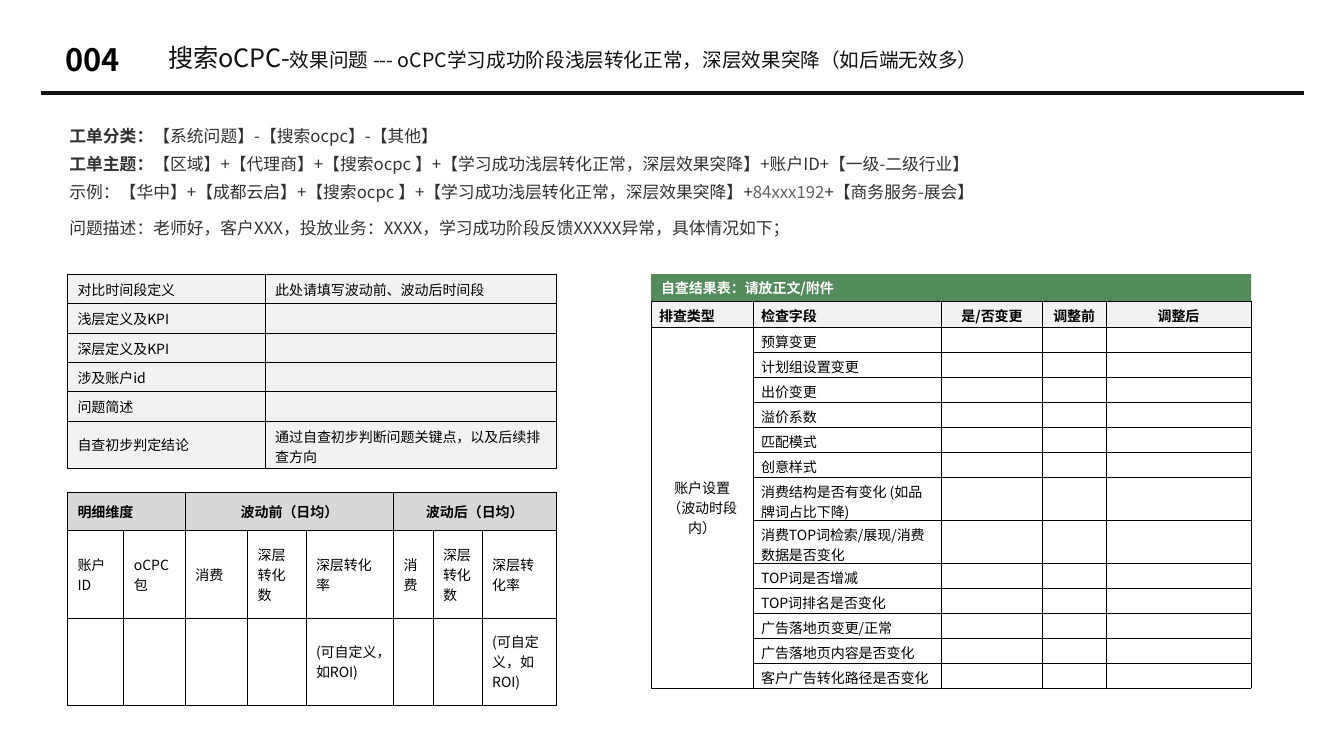
import pptx
import pptx.util
import pptx.dml.color
import pptx.enum.shapes
import pptx.enum.text
import pptx.oxml
import pptx.oxml.ns
from dataclasses import dataclass

Cm, Pt = pptx.util.Cm, pptx.util.Pt
ALIGN, ANCHOR = pptx.enum.text.PP_ALIGN, pptx.enum.text.MSO_ANCHOR
qn = pptx.oxml.ns.qn


@dataclass(frozen=True)
class Theme:
    font: str = "Noto Sans CJK SC"
    black: str = "000000"
    rule: str = "101010"
    body: str = "313131"
    muted: str = "606266"
    white: str = "FFFFFF"
    green: str = "548B5B"
    pale: str = "F2F2F2"
    grey: str = "D8D8D8"
    number_size: int = 22
    title_size: int = 18
    subtitle_size: int = 14
    body_size: int = 12
    table_size: int = 10


T = Theme()

# Content: runs are (text, size, colour, bold)
NUMBER = [[("004", T.number_size, T.black, True)]]
TITLE = [[
    ("搜索oCPC-", T.title_size, T.rule, False),
    ("效果问题 --- oCPC学习成功阶段浅层转化正常，深层效果突降（如后端无效多）", T.subtitle_size, T.rule, False),
]]
TICKET = [
    [("工单分类：", T.body_size, T.body, True),
     ("【系统问题】-【搜索ocpc】-【其他】", T.body_size, T.body, False)],
    [("工单主题：", T.body_size, T.body, True),
     ("【区域】+【代理商】+【搜索ocpc 】+【学习成功浅层转化正常，深层效果突降】+账户ID+【一级-二级行业】",
      T.body_size, T.body, False)],
    [("示例：【华中】+【成都云启】+【搜索ocpc 】+【学习成功浅层转化正常，深层效果突降】+",
      T.body_size, T.body, False),
     ("84xxx192", T.body_size, T.muted, False),
     ("+【商务服务-展会】", T.body_size, T.body, False)],
]
PROBLEM = [[("问题描述：老师好，客户XXX，投放业务：XXXX，学习成功阶段反馈XXXXX异常，具体情况如下；",
             T.body_size, T.body, False)]]
BANNER = [[("自查结果表：请放正文/附件", T.table_size, T.white, True)]]

SUMMARY = [
    ("对比时间段定义", "此处请填写波动前、波动后时间段"),
    ("浅层定义及KPI", ""),
    ("深层定义及KPI", ""),
    ("涉及账户id", ""),
    ("问题简述", ""),
    ("自查初步判定结论", "通过自查初步判断问题关键点，以及后续排查方向"),
]
METRICS = ("消费", "深层转化数", "深层转化率")
CUSTOM = ("", "", "(可自定义，如ROI)")
DETAIL = [
    ("明细维度", "", "波动前（日均）", "", "", "波动后（日均）", "", ""),
    ("账户ID", "oCPC包") + METRICS * 2,
    ("", "") + CUSTOM * 2,
]
CHECK_HEADER = ("排查类型", "检查字段", "是/否变更", "调整前", "调整后")
CHECK_TYPE = "账户设置\v（波动时段内）"
CHECK_FIELDS = [
    "预算变更", "计划组设置变更", "出价变更", "溢价系数", "匹配模式", "创意样式",
    "消费结构是否有变化 (如品牌词占比下降)", "消费TOP词检索/展现/消费数据是否变化",
    "TOP词是否增减", "TOP词排名是否变化", "广告落地页变更/正常",
    "广告落地页内容是否变化", "客户广告转化路径是否变化",
]
CHECKS = [CHECK_HEADER] + [
    (CHECK_TYPE if i == 0 else "", field, "", "", "") for i, field in enumerate(CHECK_FIELDS)
]

# Layout in centimetres
LEFT_X, RIGHT_X, TABLE_Y = 1.7, 16.41, 6.91
BANNER_H = 0.68
CHECK_ROWS = [0.66] + [1.08 if len(field) > 15 else 0.63 for field in CHECK_FIELDS]
CHECK_COLS = [2.57, 4.75, 2.54, 1.6, 3.66]


def rgb(value):
    return pptx.dml.color.RGBColor.from_string(value)


def style(r, size, color, bold):
    r.font.size, r.font.bold, r.font.name = Pt(size), bold, T.font
    r.font.color.rgb = rgb(color)
    ea = pptx.oxml.parse_xml(f'<a:ea {pptx.oxml.ns.nsdecls("a")} typeface="{T.font}"/>')
    r.font._element.find(qn("a:latin")).addnext(ea)


def write(tf, paragraphs, spacing=None):
    for i, runs in enumerate(paragraphs):
        p = tf.paragraphs[0] if i == 0 else tf.add_paragraph()
        p.alignment = ALIGN.LEFT
        if spacing:
            p.line_spacing = spacing
        for text, *look in runs:
            r = p.add_run()
            r.text = text
            style(r, *look)


def add_text(s, box, paragraphs, spacing=None, flush=False):
    tf = s.shapes.add_textbox(*map(Cm, box)).text_frame
    tf.word_wrap = True
    if flush:
        tf.vertical_anchor = ANCHOR.MIDDLE
        tf.margin_left = tf.margin_right = tf.margin_top = tf.margin_bottom = 0
    write(tf, paragraphs, spacing)


def fill_cell(cell, text, fill, bold, centred, margins):
    cell.vertical_anchor = ANCHOR.MIDDLE
    if margins:
        cell.margin_left = cell.margin_right = Cm(margins[0])
        cell.margin_top = cell.margin_bottom = Cm(margins[1])
    p = cell.text_frame.paragraphs[0]
    p.text = text
    p.alignment = ALIGN.CENTER if centred else ALIGN.LEFT
    for r in p.runs:
        style(r, T.table_size, T.black, bold)
    if not text:
        # Empty cells keep the table type size so their rows stay low
        end = p._p.makeelement(qn("a:endParaRPr"), {"sz": str(T.table_size * 100)})
        p._p.append(end)
    for side in "LRTB":
        cell._tc.get_or_add_tcPr().append(pptx.oxml.parse_xml(
            f'<a:ln{side} {pptx.oxml.ns.nsdecls("a")} w="6350"><a:solidFill>'
            f'<a:srgbClr val="{T.black}"/></a:solidFill></a:ln{side}>'))
    if fill:
        cell.fill.solid()
        cell.fill.fore_color.rgb = rgb(fill)
    else:
        cell.fill.background()


def add_grid(s, x, y, cols, rows, data, merges=(), header=None, body=None, centred=(), margins=None):
    frame = s.shapes.add_table(len(rows), len(cols), Cm(x), Cm(y), Cm(sum(cols)), Cm(sum(rows)))
    table = frame.table
    table.first_row = table.horz_banding = False
    for col, width in zip(table.columns, cols):
        col.width = Cm(width)
    for row, height in zip(table.rows, rows):
        row.height = Cm(height)
    for i, texts in enumerate(data):
        is_header = header is not None and i == 0
        for j, text in enumerate(texts):
            fill_cell(table.cell(i, j), text, header if is_header else body,
                      is_header, (i, j) in centred, margins)
    for first, last in merges:
        table.cell(*first).merge(table.cell(*last))


def main():
    prs = pptx.Presentation()
    prs.slide_width, prs.slide_height = Cm(33.87), Cm(19.05)
    s = prs.slides.add_slide(prs.slide_layouts[6])

    # Heading and rule
    rule = s.shapes.add_connector(pptx.enum.shapes.MSO_CONNECTOR.STRAIGHT,
                                  Cm(1.03), Cm(2.34), Cm(32.87), Cm(2.34))
    rule.line.color.rgb, rule.line.width = rgb(T.rule), Pt(3)
    rule._element.spPr.append(rule._element.makeelement(qn("a:effectLst"), {}))
    add_text(s, (1.65, 1.02, 1.7, 0.94), NUMBER, flush=True)
    add_text(s, (4.24, 1.14, 23.55, 0.69), TITLE, 0.9, flush=True)

    # Ticket wording
    add_text(s, (1.5, 2.84, 30.84, 2.31), TICKET, Pt(20))
    add_text(s, (1.5, 5.11, 23.29, 0.94), PROBLEM, 1.5)

    # Summary and detail tables
    add_grid(s, LEFT_X, TABLE_Y, [4.98, 7.34], [0.74] * 5 + [1.19], SUMMARY, body=T.pale)
    add_grid(s, LEFT_X, 12.4, [1.42, 1.55, 1.57, 1.47, 2.21, 0.99, 1.24, 1.86],
             [0.97, 2.2, 2.2], DETAIL, header=T.grey, centred={(0, 2), (0, 5)},
             merges=[((0, 0), (0, 1)), ((0, 2), (0, 4)), ((0, 5), (0, 7))])

    # Self-check table under its banner
    sp = s.shapes.add_shape(pptx.enum.shapes.MSO_SHAPE.RECTANGLE, Cm(RIGHT_X), Cm(TABLE_Y),
                            Cm(sum(CHECK_COLS)), Cm(BANNER_H))
    sp.shadow.inherit = False
    sp.fill.solid()
    sp.fill.fore_color.rgb = rgb(T.green)
    sp.line.fill.background()
    sp.text_frame.word_wrap = True
    sp.text_frame.vertical_anchor = ANCHOR.TOP
    write(sp.text_frame, BANNER)
    add_grid(s, RIGHT_X, TABLE_Y + BANNER_H, CHECK_COLS, CHECK_ROWS, CHECKS, header=T.pale,
             centred={(0, 2), (0, 3), (0, 4), (1, 0)}, margins=(0.2, 0.1),
             merges=[((1, 0), (len(CHECK_FIELDS), 0))])

    prs.save("out.pptx")


if __name__ == "__main__":
    main()
